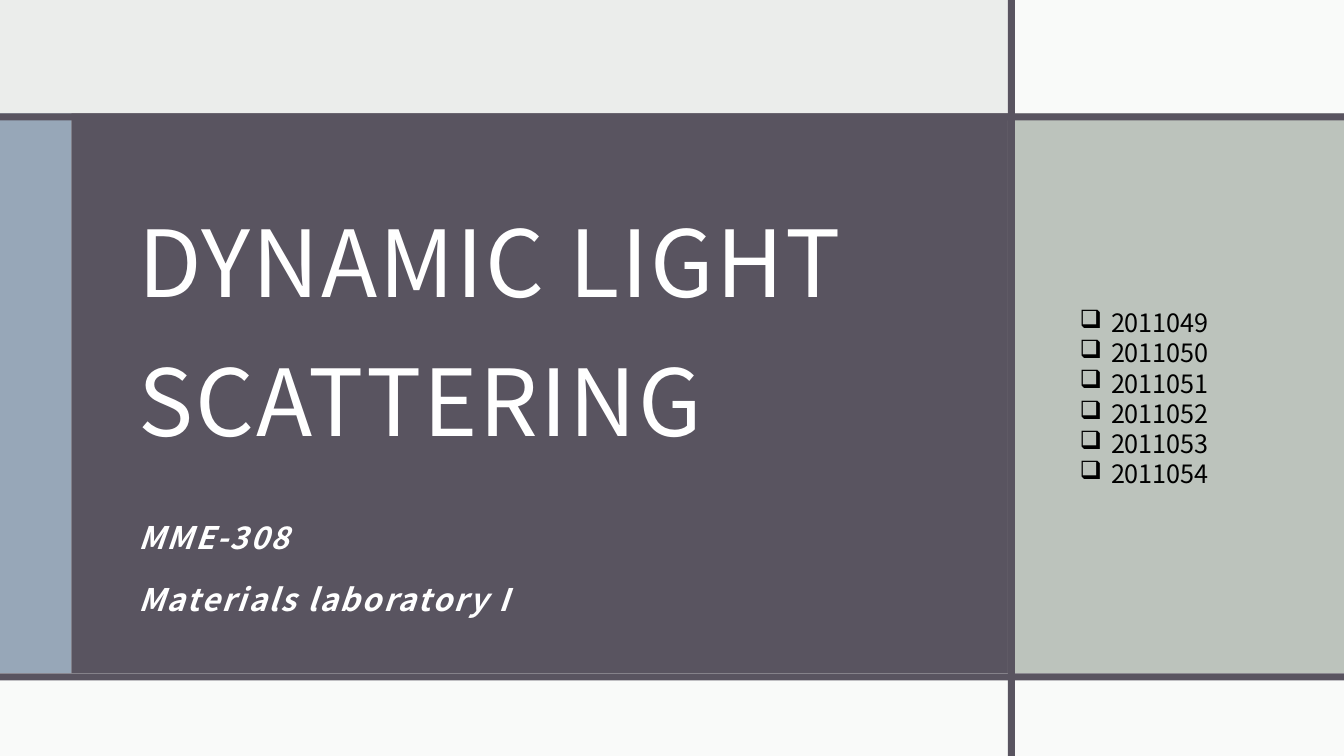
from pptx import Presentation
from pptx.dml.color import RGBColor
from pptx.enum.shapes import MSO_SHAPE
from pptx.enum.text import MSO_ANCHOR
from pptx.oxml.ns import qn
from pptx.util import Pt
from lxml.etree import SubElement

TITLE = "DYNAMIC LIGHT SCATTERING"
COURSE = ["MME-308", "Materials laboratory I"]
STUDENT_IDS = ["2011049", "2011050", "2011051", "2011052", "2011053", "2011054"]

FONT = "Noto Sans CJK JP"
COLORS = {"paper": "EBEDEB", "white": "FFFFFF", "plum": "595460",
          "blue": "97A7B8", "sage": "ADB5AD", "black": "000000"}
VEIL = 75  # opacity of the light panels, in percent

W, H = 960, 540
RULE = 5
TOP, BOTTOM, SPLIT = 81, 481, 720  # where the three rules start
EDGE = 51  # width of the blue strip
BAND = BOTTOM - TOP
SIDE = W - SPLIT

# left, top, width, height, colour, opacity
PANELS = [
    (SPLIT, 0, SIDE, TOP, "white", VEIL),
    (0, TOP, EDGE, BAND, "blue", 100),
    (EDGE, TOP, SPLIT - EDGE, BAND, "plum", 100),
    (SPLIT, TOP, SIDE, BAND, "sage", VEIL),
    (0, BOTTOM, W, H - BOTTOM, "white", VEIL),
    (0, BOTTOM, W, RULE, "plum", 100),
    (SPLIT, 0, RULE, H, "plum", 100),
    (0, TOP, W, RULE, "plum", 100),
]


def add_panel(slide, left, top, width, height, color, opacity):
    sp = slide.shapes.add_shape(MSO_SHAPE.RECTANGLE, Pt(left), Pt(top), Pt(width), Pt(height))
    sp.shadow.inherit = False
    sp.line.fill.background()
    sp.fill.solid()
    sp.fill.fore_color.rgb = RGBColor.from_string(COLORS[color])
    if opacity < 100:
        rgb = sp.fill._xPr.find(qn("a:solidFill"))[0]
        SubElement(rgb, qn("a:alpha")).set("val", str(opacity * 1000))


def add_text(slide, box, lines, size, color, inset=None, anchor=MSO_ANCHOR.TOP,
             leading=None, gap=0, tracking=0, bullet=None, indent=0, strong=False):
    """Add a text box with one paragraph per line; inset is (sides and top, bottom)."""
    tf = slide.shapes.add_textbox(*map(Pt, box)).text_frame
    tf.word_wrap = True
    tf.vertical_anchor = anchor
    if inset:
        tf.margin_left = tf.margin_right = tf.margin_top = Pt(inset[0])
        tf.margin_bottom = Pt(inset[1])
    for i, line in enumerate(lines):
        p = tf.add_paragraph() if i else tf.paragraphs[0]
        p.text = line
        if leading:
            p.line_spacing = leading
        if i and gap:
            p.space_before = Pt(gap)
        if bullet:
            pPr = p._p.get_or_add_pPr()
            pPr.set("marL", str(Pt(indent)))
            pPr.set("indent", str(-Pt(indent)))
            SubElement(pPr, qn("a:buChar")).set("char", bullet)
        r = p.runs[0]
        r.font.name = FONT
        r.font.size = Pt(size)
        r.font.color.rgb = RGBColor.from_string(COLORS[color])
        if strong:
            r.font.bold = r.font.italic = True
        rPr = r._r.get_or_add_rPr()
        if tracking:
            rPr.set("spc", str(int(tracking * 100)))
        SubElement(rPr, qn("a:ea")).set("typeface", FONT)


prs = Presentation()
prs.slide_width, prs.slide_height = Pt(W), Pt(H)
s = prs.slides.add_slide(prs.slide_layouts[6])
s.background.fill.solid()
s.background.fill.fore_color.rgb = RGBColor.from_string(COLORS["paper"])

for panel in PANELS:
    add_panel(s, *panel)

add_text(s, (90, 71, 580, 261), [TITLE], 66, "white", inset=(8.64, 7.2),
         anchor=MSO_ANCHOR.BOTTOM, leading=1.25, tracking=1.5)
add_text(s, (90, 354, 592, 95), COURSE, 22.2, "white", inset=(8.64, 7.2),
         leading=1.3, gap=9.3, tracking=1.5, strong=True)
add_text(s, (764, 216, 184, 138), STUDENT_IDS, 18, "black", bullet="❑", indent=22.5)

prs.save("out.pptx")
